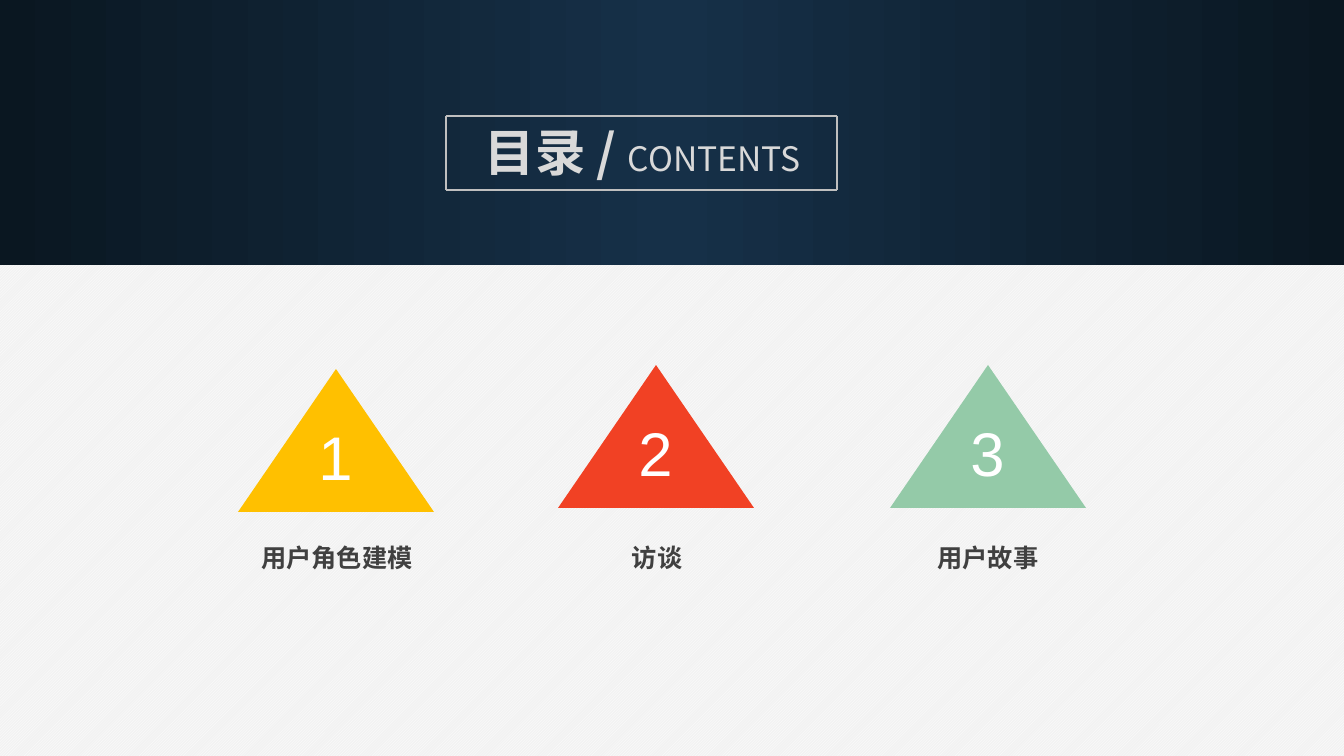
import itertools

import lxml.etree
import pptx
import pptx.dml.color
import pptx.enum.dml
import pptx.enum.shapes
import pptx.enum.text
import pptx.oxml.ns
import pptx.util

PIXEL = 914400 / 100.8
COLOURS = {
    "paper": "F2F2F2", "hatch": "FFFFFF", "navy": "163048", "night": "0A1721",
    "title": "D9D9D9", "frame": "BFBFBF", "label": "404040", "number": "FFFFFF",
    "amber": "FFC000", "red": "F14124", "green": "94CAA8",
}
SANS = "Noto Sans CJK SC"


def emu(*pixels):
    """Turn pixel lengths into EMU."""
    return [pptx.util.Emu(round(pixel * PIXEL)) for pixel in pixels]


def colour(name):
    """Look up a colour by name."""
    return pptx.dml.color.RGBColor.from_string(COLOURS[name])


def add_text(shapes, box, parts, font, ink, wrap=True):
    """Write one centred line from (text, size, bold) parts."""
    frame = shapes.add_textbox(*emu(*box)).text_frame
    frame.word_wrap = wrap
    frame.auto_size = pptx.enum.text.MSO_AUTO_SIZE.SHAPE_TO_FIT_TEXT
    line = frame.paragraphs[0]
    line.alignment = pptx.enum.text.PP_ALIGN.CENTER
    for text, size, bold in parts:
        run = line.add_run()
        run.text = text
        run.font.size = pptx.util.Pt(size)
        run.font.bold = bold
        run.font.color.rgb = colour(ink)
        run.font.name = font
        east_asian = lxml.etree.SubElement(run.font._element, pptx.oxml.ns.qn("a:ea"))
        east_asian.set("typeface", font)


def add_plain_shape(shapes, kind, box):
    """Add a preset shape without shadow or outline."""
    shape = shapes.add_shape(kind, *emu(*box))
    shape.shadow.inherit = False
    shape.line.fill.background()
    return shape


def add_banner(shapes, left, top, width, height):
    """Fill the box with two gradients that are lightest in the middle."""
    half = width // 2
    for start, shades in ((left, ("night", "navy")), (left + half, ("navy", "night"))):
        panel = add_plain_shape(shapes, pptx.enum.shapes.MSO_SHAPE.RECTANGLE,
                                (start, top, half, height))
        panel.fill.gradient()
        panel.fill.gradient_angle = 0
        for position, (stop, shade) in enumerate(zip(panel.fill.gradient_stops, shades)):
            stop.position = position
            stop.color.rgb = colour(shade)


def add_title(shapes, left, top, width, height):
    """Write the title inside a frame of four lines."""
    add_text(shapes, (left + 14, top, width - 26, height - 3),
             [("目录 / ", 36, True), ("CONTENTS", 24, False)], SANS, "title")
    right, bottom = left + width, top + height
    corners = [(left, top), (right, top), (right, bottom), (left, bottom), (left, top)]
    for start, end in itertools.pairwise(corners):
        edge = shapes.add_connector(pptx.enum.shapes.MSO_CONNECTOR.STRAIGHT,
                                    *emu(*start, *end))
        edge.line.color.rgb = colour("frame")
        edge.line.width = pptx.util.Pt(1)
        lxml.etree.SubElement(edge._element.spPr, pptx.oxml.ns.qn("a:effectLst"))


def add_chapter(shapes, left, top, width, height, number, fill):
    """Draw a numbered triangle that fills the box."""
    badge = shapes.add_group_shape().shapes
    triangle = add_plain_shape(badge, pptx.enum.shapes.MSO_SHAPE.ISOSCELES_TRIANGLE,
                               (left, top, width, height))
    triangle.fill.solid()
    triangle.fill.fore_color.rgb = colour(fill)
    add_text(badge, (left + (width - 55) // 2, top + 45, 55, 85),
             [(str(number), 44, False)], "Arial", "number", wrap=False)


def add_contents(shapes, left, top, width, height):
    """Place the chapters and their labels in the box."""
    chapters = [
        ("用户角色建模", "amber", 0, 4, (-57, 312)),
        ("访谈", "red", 320, 0, (35, 128)),
        ("用户故事", "green", 652, 0, (-12, 220)),
    ]
    for number, (label, fill, across, drop, (inset, label_width)) in enumerate(chapters, 1):
        add_chapter(shapes, left + across, top + drop, 196, 143, number, fill)
        add_text(shapes, (left + across + inset, top + height - 40, label_width, 40),
                 [(label, 18, True)], SANS, "label")


def add_contents_slide(deck, width, height):
    """Build the contents slide."""
    slide = deck.slides.add_slide(deck.slide_layouts[6])
    paper = slide.background.fill
    paper.patterned()
    paper.pattern = pptx.enum.dml.MSO_PATTERN.LIGHT_UPWARD_DIAGONAL
    paper.fore_color.rgb = colour("hatch")
    paper.back_color.rgb = colour("paper")
    add_banner(slide.shapes, 0, 0, width, 265)
    add_title(slide.shapes, 446, 116, 391, 74)
    add_contents(slide.shapes, 238, 365, 848, 212)


def main():
    """Create and save the deck."""
    deck = pptx.Presentation()
    width, height = 1344, 756
    deck.slide_width, deck.slide_height = emu(width, height)
    add_contents_slide(deck, width, height)
    deck.save("out.pptx")


main()
